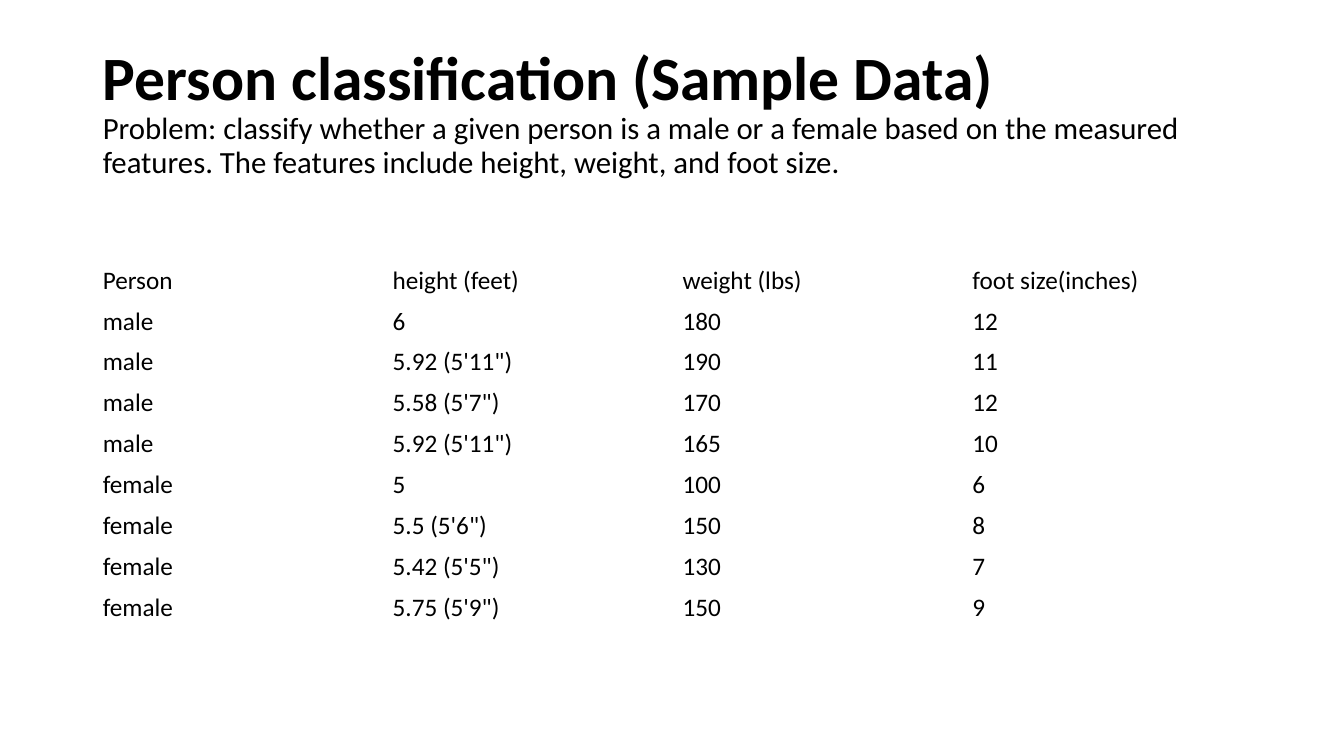
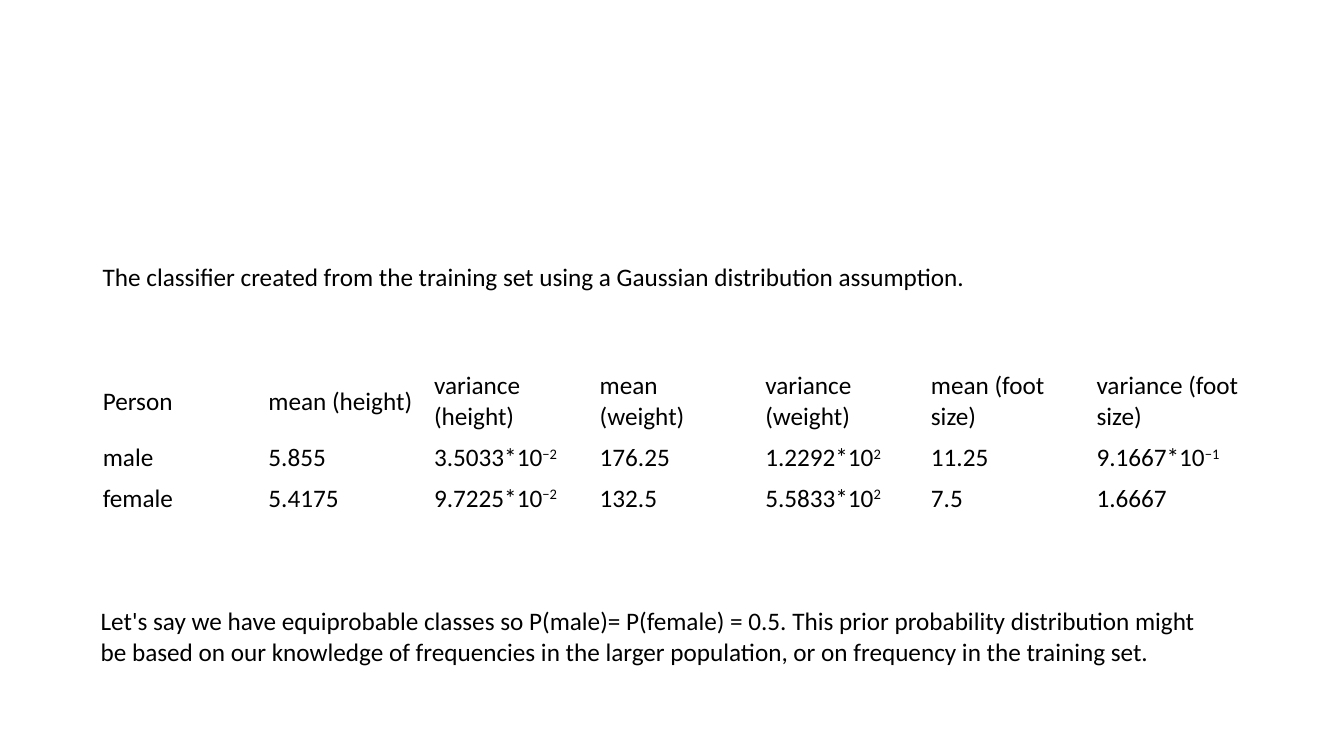
from pptx import Presentation
from pptx.dml.color import RGBColor
from pptx.enum.text import MSO_ANCHOR, MSO_AUTO_SIZE, PP_ALIGN
from pptx.util import Inches, Pt

MIDDLE = MSO_ANCHOR.MIDDLE
FIXED = MSO_AUTO_SIZE.NONE
LEFT = PP_ALIGN.LEFT

WIDE, HIGH = Inches(13.33), Inches(7.5)
EDGE, SPAN = Inches(0.92), Inches(11.5)
ROW = Inches(0.4)
INK = "000000"
HEAD = {"name": "Calibri", "size": Pt(44), "bold": True}
LEAD = {"name": "Calibri", "size": Pt(22), "bold": False}
TEXT = {"name": "Calibri", "size": Pt(18), "bold": False}


def write(para, text, look):
    """Add text to a paragraph; whatever follows a ^ is superscript."""
    for num, part in enumerate(text.split("^")):
        run = para.add_run()
        run.text = part
        for key, value in look.items():
            setattr(run.font, key, value)
        run.font.color.rgb = RGBColor.from_string(INK)
        if num:
            run.font._element.set("baseline", "30000")


def grid(slide, top, data, first=ROW):
    """Add a plain table across the text width, with a first row of its own height."""
    rows, cols = len(data), len(data[0])
    table = slide.shapes.add_table(
        rows, cols, EDGE, top, SPAN, first + ROW * (rows - 1)).table
    table.first_row = table.horz_banding = False
    for col in table.columns:
        col.width = SPAN // cols
    for num, line in enumerate(data):
        table.rows[num].height = ROW if num else first
        for col, text in enumerate(line):
            cell = table.cell(num, col)
            cell.fill.background()
            cell.vertical_anchor = MIDDLE
            write(cell.text_frame.paragraphs[0], text, TEXT)


deck = Presentation()
deck.slide_width, deck.slide_height = WIDE, HIGH
TITLED, BLANK = deck.slide_layouts[5], deck.slide_layouts[6]

# Sample data
slide = deck.slides.add_slide(TITLED)
title = slide.shapes.title
title.left, title.top, title.width, title.height = EDGE, Inches(0.4), SPAN, Inches(1.45)
frame = title.text_frame
frame.word_wrap, frame.auto_size, frame.vertical_anchor = True, FIXED, MIDDLE
para = frame.paragraphs[0]
para.alignment, para.line_spacing = LEFT, 0.9
write(para, "Person classification (Sample Data)", HEAD)
para.add_line_break()
write(para, "Problem: classify whether a given person is a male or a female based on "
      "the measured features. The features include height, weight, and foot size.", LEAD)

grid(slide, Inches(2.58), [
    ("Person", "height (feet)", "weight (lbs)", "foot size(inches)"),
    ("male", "6", "180", "12"),
    ("male", "5.92 (5'11\")", "190", "11"),
    ("male", "5.58 (5'7\")", "170", "12"),
    ("male", "5.92 (5'11\")", "165", "10"),
    ("female", "5", "100", "6"),
    ("female", "5.5 (5'6\")", "150", "8"),
    ("female", "5.42 (5'5\")", "130", "7"),
    ("female", "5.75 (5'9\")", "150", "9"),
])

# Trained classifier
slide = deck.slides.add_slide(BLANK)
grid(slide, Inches(3.63), [
    ("Person", "mean (height)", "variance (height)", "mean (weight)",
     "variance (weight)", "mean (foot size)", "variance (foot size)"),
    ("male", "5.855", "3.5033*10^−2", "176.25", "1.2292*10^2", "11.25", "9.1667*10^−1"),
    ("female", "5.4175", "9.7225*10^−2", "132.5", "5.5833*10^2", "7.5", "1.6667"),
], Inches(0.7))

NOTES = [
    (EDGE, Inches(2.54), Inches(0.4), [
        "The classifier created from the training set using a Gaussian "
        "distribution assumption."]),
    (Inches(0.9), Inches(5.96), Inches(0.71), [
        "Let's say we have equiprobable classes so P(male)= P(female) = 0.5. "
        "This prior probability distribution might",
        "be based on our knowledge of frequencies in the larger population, "
        "or on frequency in the training set."]),
]
for left, top, height, lines in NOTES:
    frame = slide.shapes.add_textbox(left, top, SPAN, height).text_frame
    frame.word_wrap = True
    for num, line in enumerate(lines):
        para = frame.add_paragraph() if num else frame.paragraphs[0]
        write(para, line, TEXT)

deck.save("out.pptx")
